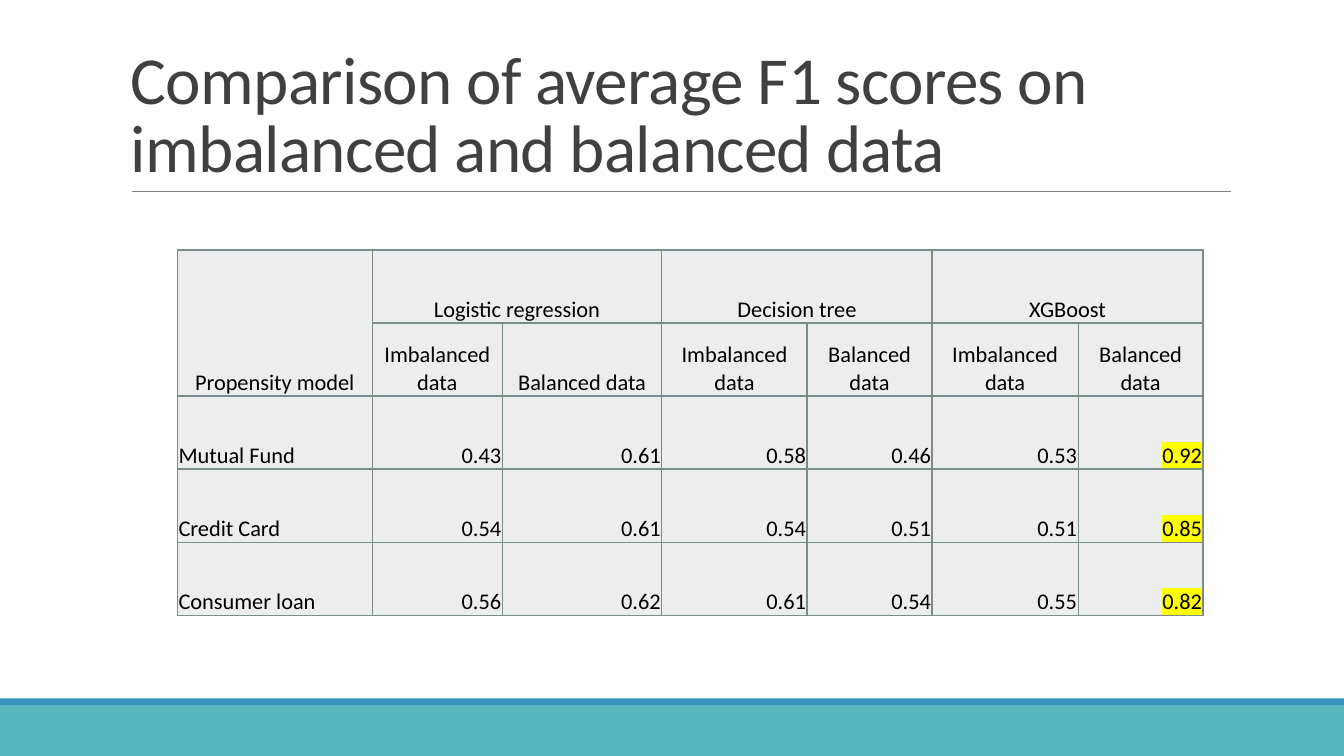
from lxml import etree
from pptx import Presentation
from pptx.dml.color import RGBColor
from pptx.enum.shapes import MSO_CONNECTOR, MSO_SHAPE
from pptx.enum.text import MSO_ANCHOR, PP_ALIGN
from pptx.oxml.ns import qn
from pptx.util import Cm, Pt

COLORS = {
    "band": "58B6C0",
    "stripe": "3494BA",
    "rule": "808080",
    "title": "404040",
    "text": "000000",
    "cell": "ECEEEE",
    "border": "7A8C8E",
    "highlight": "FFFF00",
}
FONT = "Calibri"


def format_run(run, size, color):
    run.font.name = FONT
    run.font.size = Pt(size)
    run.font.color.rgb = RGBColor.from_string(COLORS[color])


def add_color(parent, tag, color):
    """Append an XML element that holds one RGB colour."""
    element = etree.SubElement(parent, qn(tag))
    etree.SubElement(element, qn("a:srgbClr"), val=COLORS[color])
    return element


presentation = Presentation()
presentation.slide_width = Cm(33.87)
presentation.slide_height = Cm(19.05)
slide = presentation.slides.add_slide(presentation.slide_layouts[6])

# Footer bands
for color, top, height in (("band", 17.78, 1.27), ("stripe", 17.6, 0.18)):
    shape = slide.shapes.add_shape(
        MSO_SHAPE.RECTANGLE, 0, Cm(top), presentation.slide_width, Cm(height))
    shape.shadow.inherit = False
    shape.fill.solid()
    shape.fill.fore_color.rgb = RGBColor.from_string(COLORS[color])
    shape.line.fill.background()

# Title and its rule
rule = slide.shapes.add_connector(
    MSO_CONNECTOR.STRAIGHT, Cm(3.33), Cm(4.83), Cm(31.01), Cm(4.83))
rule.line.color.rgb = RGBColor.from_string(COLORS["rule"])
rule.line.width = Pt(0.5)
etree.SubElement(rule._element.spPr, qn("a:effectLst"))

title = slide.shapes.add_textbox(Cm(3.05), Cm(0.79), Cm(27.94), Cm(4.04))
title.text_frame.word_wrap = True
title.text_frame.vertical_anchor = MSO_ANCHOR.BOTTOM
paragraph = title.text_frame.paragraphs[0]
paragraph.line_spacing = 0.85
run = paragraph.add_run()
run.text = "Comparison of average F1 scores on imbalanced and balanced data"
format_run(run, 48, "title")
run.font._element.set("spc", "-50")

# Score table
MODELS = ["Logistic regression", "Decision tree", "XGBoost"]
SCORES = {
    "Mutual Fund": [0.43, 0.61, 0.58, 0.46, 0.53, 0.92],
    "Credit Card": [0.54, 0.61, 0.54, 0.51, 0.51, 0.85],
    "Consumer loan": [0.56, 0.62, 0.61, 0.54, 0.55, 0.82],
}
COLUMN_WIDTHS = [4.91, 3.28, 4.02, 3.66, 3.15, 3.68, 3.15]
ROW_HEIGHT = 1.84
HEADER_ROWS = 2
CELL_FORMAT = {
    "vertical_anchor": MSO_ANCHOR.BOTTOM,
    "margin_left": Cm(0.03),
    "margin_right": Cm(0.03),
    "margin_top": Cm(0.03),
    "margin_bottom": 0,
}

rows = [["Propensity model"], [""]]
for model in MODELS:
    rows[0] += [model, ""]
    rows[1] += ["Imbalanced data", "Balanced data"]
for product, scores in SCORES.items():
    rows.append([product] + [f"{score:.2f}" for score in scores])

table = slide.shapes.add_table(
    len(rows), len(COLUMN_WIDTHS), Cm(4.47), Cm(6.3),
    Cm(sum(COLUMN_WIDTHS)), Cm(ROW_HEIGHT * len(rows))).table
table.first_row = False
table.horz_banding = False
for column, width in zip(table.columns, COLUMN_WIDTHS):
    column.width = Cm(width)
for row in table.rows:
    row.height = Cm(ROW_HEIGHT)

table.cell(0, 0).merge(table.cell(1, 0))
for left in range(1, len(COLUMN_WIDTHS), 2):
    table.cell(0, left).merge(table.cell(0, left + 1))

for row_index, texts in enumerate(rows):
    for column_index, text in enumerate(texts):
        cell = table.cell(row_index, column_index)
        for name, value in CELL_FORMAT.items():
            setattr(cell, name, value)
        properties = cell._tc.get_or_add_tcPr()
        for side in ("a:lnL", "a:lnR", "a:lnT", "a:lnB"):
            border = etree.SubElement(properties, qn(side), w=str(Pt(1)))
            add_color(border, "a:solidFill", "border")
        cell.fill.solid()
        cell.fill.fore_color.rgb = RGBColor.from_string(COLORS["cell"])
        if not text:
            continue

        paragraph = cell.text_frame.paragraphs[0]
        if row_index < HEADER_ROWS:
            paragraph.alignment = PP_ALIGN.CENTER
        elif column_index > 0:
            paragraph.alignment = PP_ALIGN.RIGHT
        run = paragraph.add_run()
        run.text = text
        format_run(run, 16, "text")
        if row_index >= HEADER_ROWS and column_index == len(texts) - 1:
            highlight = add_color(run.font._element, "a:highlight", "highlight")
            run.font._element.find(qn("a:latin")).addprevious(highlight)

presentation.save("out.pptx")
